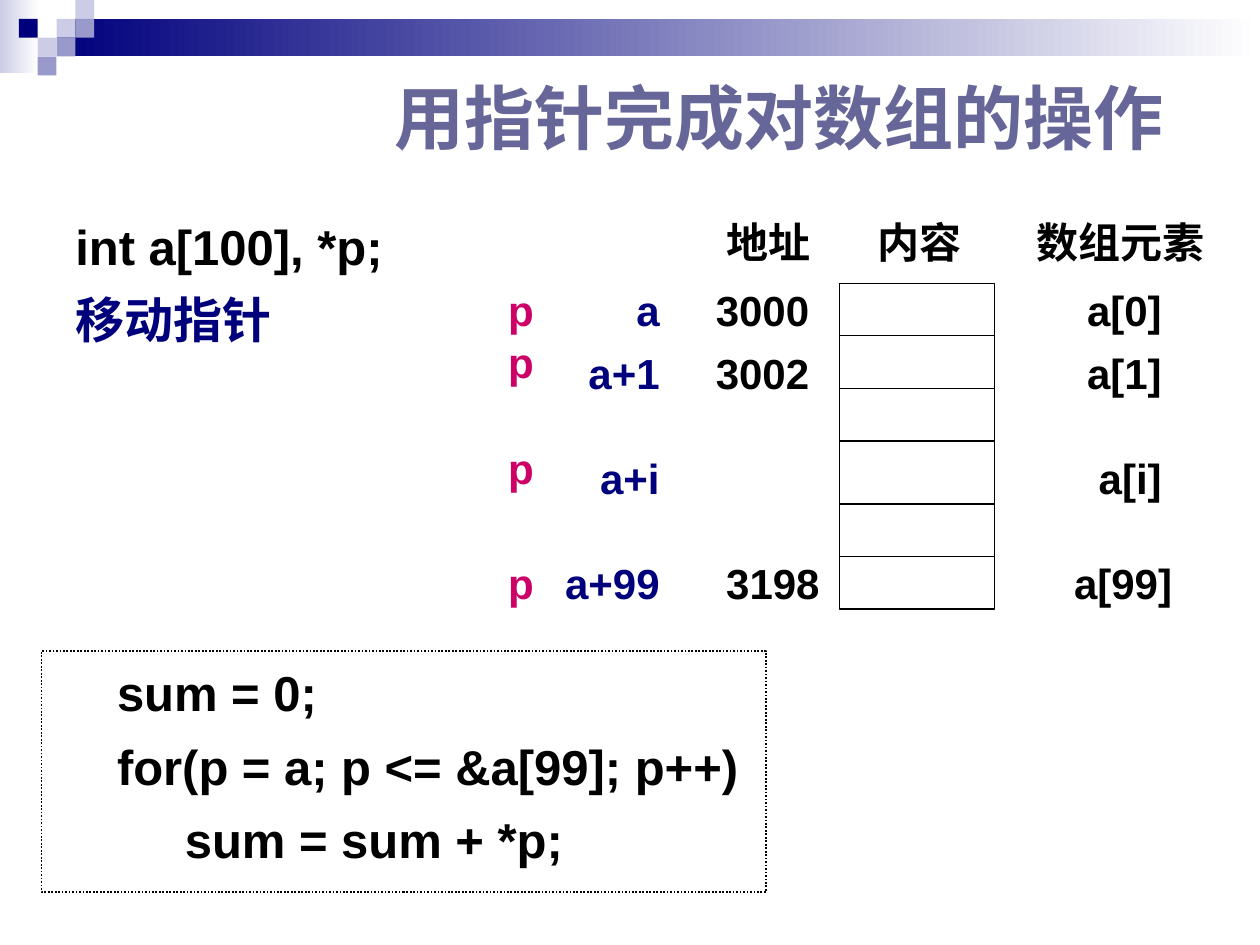
from lxml import etree
from pptx import Presentation
from pptx import util as u
from pptx.dml.color import RGBColor
from pptx.enum import dml, shapes, text
from pptx.oxml import ns

COLORS = {
    "navy": "00007D", "violet": "9999CC", "lilac": "CCCCE6", "title": "666699",
    "pink": "CC0066", "black": "000000", "white": "FFFFFF",
}


class SlideStyle:
    font = "Arial"

    def __init__(self, deck, layout):
        self.page = deck.slides.add_slide(deck.slide_layouts[layout])

    def color(self, name):
        return RGBColor.from_string(COLORS[name])

    def apply(self, target, values):
        for name, value in values.items():
            setattr(target, name, value)

    def place(self, box, area):
        names = ("left", "top", "width", "height")
        self.apply(box, dict(zip(names, map(u.Cm, area))))

    def fill_text(self, box, lines, size, anchor, color="black", font=None,
                  align="LEFT", tabs=(), listed=False, top=0.13):
        frame = box.text_frame
        self.apply(frame, {
            "word_wrap": True, "auto_size": text.MSO_AUTO_SIZE.NONE,
            "vertical_anchor": getattr(text.MSO_ANCHOR, anchor),
            "margin_left": u.Cm(0.25), "margin_right": u.Cm(0.25),
            "margin_top": u.Cm(top), "margin_bottom": u.Cm(0.13),
        })
        for index, line in enumerate(lines):
            words, shade = line if isinstance(line, tuple) else (line, color)
            para = frame.paragraphs[0] if index == 0 else frame.add_paragraph()
            properties = para._p.get_or_add_pPr()
            if listed:
                properties.set("marL", str(u.Cm(2.06)))
                properties.set("indent", str(u.Cm(-0.79)))
                etree.SubElement(properties, ns.qn("a:buNone"))
            if tabs:
                stops = etree.SubElement(properties, ns.qn("a:tabLst"))
                for position, side in tabs:
                    etree.SubElement(stops, ns.qn("a:tab"),
                                     pos=str(u.Cm(position)), algn=side)
            self.apply(para, {
                "alignment": getattr(text.PP_ALIGN, align),
                "space_before": u.Pt(8.4 if listed and index else 0),
            })
            span = para.add_run()
            span.text = words
            self.apply(span.font, {"name": font or self.font, "size": u.Pt(size), "bold": True})
            span.font.color.rgb = self.color(shade)

    def placeholder(self, index, area, lines, size, anchor, **values):
        box = self.page.placeholders[index]
        self.place(box, area)
        self.fill_text(box, lines, size, anchor, **values)

    def label(self, area, words, **values):
        box = self.page.shapes.add_textbox(*map(u.Cm, area))
        self.fill_text(box, [words], 24, "MIDDLE", **values)

    def rectangle(self, area, fill=None, fade=False, border=None):
        box = self.page.shapes.add_shape(shapes.MSO_SHAPE.RECTANGLE, *map(u.Cm, area))
        box.shadow.inherit = False
        if fade:
            box.fill.gradient()
            box.fill.gradient_angle = 0
            for stop, name, position in zip(box.fill.gradient_stops, (fill, "white"), (0, 1)):
                stop.color.rgb = self.color(name)
                stop.position = position
        elif fill:
            box.fill.solid()
            box.fill.fore_color.rgb = self.color(fill)
        else:
            box.fill.background()
        if border:
            box.line.color.rgb = self.color("black")
            box.line.width = u.Pt(border)
        else:
            box.line.fill.background()
        return box

    def rule(self, left, right, height):
        line = self.page.shapes.add_connector(
            shapes.MSO_CONNECTOR.STRAIGHT, *map(u.Cm, (left, height, right, height)))
        line.line.color.rgb = self.color("black")
        line.line.width = u.Pt(0.75)
        etree.SubElement(line._element.spPr, ns.qn("a:effectLst"))


def main():
    deck = Presentation()
    deck.slide_width, deck.slide_height = u.Cm(25.4), u.Cm(19.05)
    style = SlideStyle(deck, 1)

    style.rectangle((0, 0, 0.78, 1.48), "lilac", fade=True)
    style.rectangle((1.14, 0.38, 24.26, 0.76), "navy", fade=True)
    tile = 0.38
    for column, row, fill in ((3, 1, "lilac"), (4, 0, "lilac"), (4, 1, "violet"),
                              (2, 2, "lilac"), (1, 1, "navy"), (3, 2, "violet"),
                              (2, 3, "violet")):
        style.rectangle((column * tile, row * tile, tile, tile), fill)

    style.placeholder(0, (7.7, 1.32, 16.9, 2.01), ["用指针完成对数组的操作"],
                      40, "BOTTOM", color="title")
    style.placeholder(1, (0, 4.12, 9.1, 3.18),
                      ["int a[100], *p;", ("移动指针", "navy")],
                      28, "TOP", listed=True, top=0.24)

    memory_left, memory_width = 16.93, 3.12
    style.rectangle((memory_left, 5.72, memory_width, 6.56), border=0.75)
    for height in (6.77, 7.83, 8.89, 10.16, 11.22):
        style.rule(memory_left, memory_left + memory_width, height)

    style.label((14.39, 4.24, 10.37, 1.27), "地址\t内容\t数组元素",
                font="Times New Roman", tabs=((3.05, "l"), (6.25, "l")))
    row_height = 1.06
    for top, pointer_top, left, pointer, address, element in (
            (5.72, 5.72, 14.18, "a", "3000", "a[0]"),
            (6.99, 6.77, 14.18, "a+1", "3002", "a[1]"),
            (9.1, 8.89, 14.18, "a+i", "", "a[i]"),
            (11.22, 11.22, 14.39, "a+99", "3198", "a[99]")):
        style.label((left, top, 9.74, row_height), f"{address}\t{element}", tabs=((8.99, "r"),))
        style.label((11.01, top, 2.54, row_height), pointer, color="navy", align="RIGHT")
        style.label((9.53, pointer_top, 1.48, row_height), "p", color="pink", align="RIGHT")

    code = style.rectangle((0.84, 13.12, 14.6, 4.87), border=1)
    code.line.dash_style = dml.MSO_LINE.ROUND_DOT
    style.fill_text(code, ["sum = 0;", "for(p = a; p <= &a[99]; p++)", "     sum = sum + *p;"],
                    28, "TOP", listed=True, top=0.24)
    deck.save("out.pptx")


if __name__ == "__main__":
    main()
